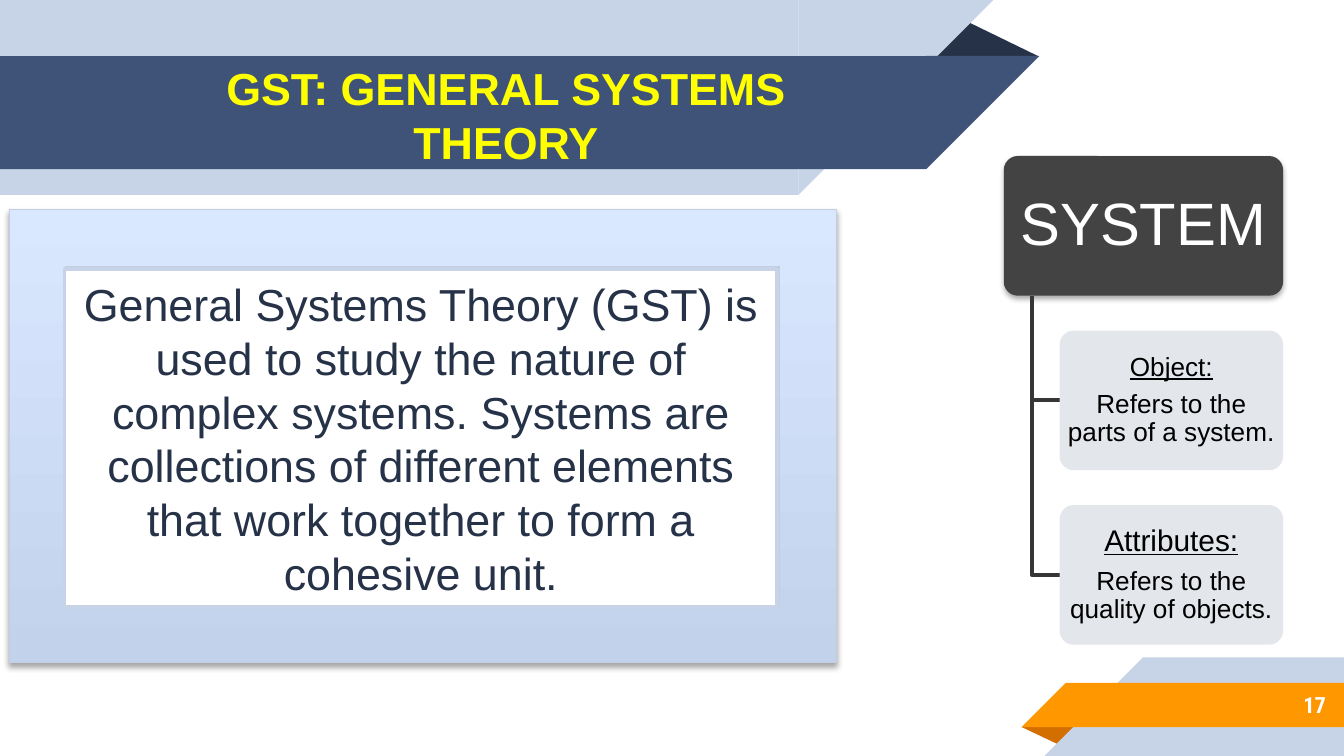
from dataclasses import dataclass
from typing import Optional

from lxml import etree
from pptx import Presentation
from pptx.dml.color import RGBColor
from pptx.enum import shapes, text
from pptx.oxml.ns import qn
from pptx.util import Pt


@dataclass(frozen=True)
class Theme:
    body_font: str = "Arial"
    number_font: str = "Roboto Condensed"
    pale: str = "C7D3E6"
    blue: str = "3F5378"
    navy: str = "263248"
    orange: str = "FF9800"
    rust: str = "D26F00"
    white: str = "FFFFFF"
    black: str = "000000"
    yellow: str = "FFFF00"
    charcoal: str = "434343"
    branch: str = "363636"
    node: str = "E0E4E9"
    frame_line: str = "C2CEE2"
    frame_low: str = "C2D2EB"
    frame_high: str = "D9E7FF"
    root_size: int = 32
    heading_size: int = 24
    label_size: int = 16
    note_size: int = 14
    number_size: int = 12


@dataclass(frozen=True)
class Box:
    x: float
    y: float
    w: float
    h: float


@dataclass(frozen=True)
class Band:
    """A ribbon whose slanted end is as wide as the ribbon is high."""
    body: Box
    color: str
    at_top: bool


@dataclass(frozen=True)
class Line:
    words: str
    size: int
    color: str
    bold: Optional[bool] = None
    underline: Optional[bool] = None
    font: str = Theme.body_font
    align: text.PP_ALIGN = text.PP_ALIGN.CENTER
    spacing: Optional[float] = None
    after: float = 0


@dataclass(frozen=True)
class Node:
    box: Box
    color: str
    inset: tuple[float, float]
    lines: tuple[Line, ...]


THEME = Theme()
KIND = shapes.MSO_SHAPE


def rgb(color: str) -> RGBColor:
    return RGBColor.from_string(color)


def add_form(slide, kind, box: Box, color: Optional[str] = None, turn: float = 0, mirror: bool = False):
    form = slide.shapes.add_shape(kind, Pt(box.x), Pt(box.y), Pt(box.w), Pt(box.h))
    form.shadow.inherit = False
    form.line.fill.background()
    if color:
        form.fill.solid()
        form.fill.fore_color.rgb = rgb(color)
    form.rotation = turn
    if mirror:
        form._element.spPr.find(qn("a:xfrm")).set("flipH", "1")
    return form


def add_band(slide, band: Band) -> None:
    body = band.body
    turn = 180 if band.at_top else 0
    tip_x = body.x + body.w if band.at_top else body.x - body.h
    add_form(slide, KIND.RECTANGLE, body, band.color, turn, True)
    add_form(slide, KIND.RIGHT_TRIANGLE, Box(tip_x, body.y, body.h, body.h), band.color, turn, True)


def add_fold(slide, box: Box, color: str, turn: float = 0) -> None:
    add_form(slide, KIND.ISOSCELES_TRIANGLE, box, color, turn).adjustments[0] = 0.32


def write(form, lines: tuple[Line, ...], inset: tuple[float, float]) -> None:
    frame = form.text_frame
    frame.word_wrap = True
    frame.vertical_anchor = text.MSO_ANCHOR.MIDDLE
    frame.margin_left = frame.margin_right = Pt(inset[0])
    frame.margin_top = frame.margin_bottom = Pt(inset[1])
    for i, line in enumerate(lines):
        paragraph = frame.paragraphs[0] if i == 0 else frame.add_paragraph()
        paragraph.text = line.words
        paragraph.alignment = line.align
        paragraph.line_spacing = line.spacing
        paragraph.space_after = Pt(line.after)
        font = paragraph.font
        font.name, font.size = line.font, Pt(line.size)
        font.bold, font.underline = line.bold, line.underline
        font.color.rgb = rgb(line.color)


def add_words(slide, box: Box, line: Line) -> None:
    words = slide.shapes.add_textbox(Pt(box.x), Pt(box.y), Pt(box.w), Pt(box.h))
    write(words, (line,), (7.2, 7.2))


def cast_shadow(form) -> None:
    effects = form._element.spPr.find(qn("a:effectLst"))
    shadow = etree.SubElement(effects, qn("a:outerShdw"), blurRad=str(Pt(3.1)), dist=str(Pt(1.8)),
                              dir="5400000", algn="ctr", rotWithShape="0")
    color = etree.SubElement(shadow, qn("a:srgbClr"), val=THEME.black)
    etree.SubElement(color, qn("a:alpha"), val="35000")


def add_node(slide, node: Node):
    form = add_form(slide, KIND.ROUNDED_RECTANGLE, node.box, node.color)
    form.adjustments[0] = 0.1
    write(form, node.lines, node.inset)
    return form


def add_branch(slide, root: Box, child: Box) -> None:
    stem_x = root.x + root.w / 10
    middle = child.y + child.h / 2
    builder = slide.shapes.build_freeform(Pt(stem_x), Pt(root.y + root.h))
    builder.add_line_segments([(Pt(stem_x), Pt(middle)), (Pt(child.x), Pt(middle))], close=False)
    branch = builder.convert_to_shape()
    branch.shadow.inherit = False
    branch.fill.background()
    branch.line.color.rgb = rgb(THEME.branch)
    branch.line.width = Pt(2)


def child_node(root: Box, row: int, label: str, label_size: int, note: str) -> Node:
    indent = root.w / 5
    box = Box(root.x + indent, root.y + row * root.h * 1.25, root.w - indent, root.h)
    lines = (Line(label, label_size, THEME.black, underline=True, spacing=0.9, after=0.35 * label_size),
             Line(note, THEME.note_size, THEME.black, spacing=0.9, after=0.35 * THEME.note_size))
    return Node(box, THEME.node, (2.2, 1.4), lines)


def main() -> None:
    deck = Presentation()
    deck.slide_width, deck.slide_height = Pt(720), Pt(405)
    slide = deck.slides.add_slide(deck.slide_layouts[6])

    # Ribbons at the top and in the bottom corner
    add_fold(slide, Box(495.5, 10, 61, 20.2), THEME.navy)
    add_band(slide, Band(Box(0, 0, 427.7, 104.4), THEME.pale, True))
    add_band(slide, Band(Box(0, 30, 496.2, 60.6), THEME.blue, True))
    add_fold(slide, Box(547.3, 389.5, 31, 10), THEME.rust, 180)
    add_band(slide, Band(Box(612.3, 352.2, 107.7, 52.8), THEME.pale, False))
    add_band(slide, Band(Box(571, 365.8, 149, 23.8), THEME.orange, False))

    # Title and slide number
    add_words(slide, Box(64, 31, 414, 60.5),
              Line("GST: GENERAL SYSTEMS THEORY", THEME.heading_size, THEME.yellow, bold=True))
    add_words(slide, Box(600, 365, 117.4, 25.2),
              Line("17", THEME.number_size, THEME.white, bold=True,
                   font=THEME.number_font, align=text.PP_ALIGN.RIGHT))

    # System hierarchy
    root = Box(537.8, 83.6, 149.6, 74.8)
    root_line = Line("SYSTEM", THEME.root_size, THEME.white, spacing=0.9, after=0.35 * THEME.root_size)
    cast_shadow(add_node(slide, Node(root, THEME.charcoal, (4.8, 3.2), (root_line,))))
    children = (
        child_node(root, 1, "Object:", THEME.note_size, "Refers to the parts of a system."),
        child_node(root, 2, "Attributes:", THEME.label_size, "Refers to the quality of objects."),
    )
    for child in children:
        add_branch(slide, root, child.box)
        form = add_node(slide, child)
        color = form._element.spPr.find(qn("a:solidFill")).find(qn("a:srgbClr"))
        etree.SubElement(color, qn("a:alpha"), val="90000")

    # Framed definition
    border = add_form(slide, KIND.FRAME, Box(5, 112.3, 443, 242.7))
    border.fill.gradient()
    border.fill.gradient_angle = 90
    for stop, color in zip(border.fill.gradient_stops, (THEME.frame_low, THEME.frame_high)):
        stop.color.rgb = rgb(color)
    border.line.color.rgb = rgb(THEME.frame_line)
    border.line.width = Pt(0.75)
    cast_shadow(border)

    definition = add_form(slide, KIND.RECTANGLE, Box(34.6, 144, 381.6, 181.4), THEME.white)
    definition.line.color.rgb = rgb(THEME.pale)
    definition.line.width = Pt(2)
    write(definition, (Line(
        "General Systems Theory (GST) is used to study the nature of complex systems. Systems are "
        "collections of different elements that work together to form a cohesive unit.",
        THEME.heading_size, THEME.navy),), (7.2, 3.6))

    deck.save("out.pptx")


if __name__ == "__main__":
    main()
